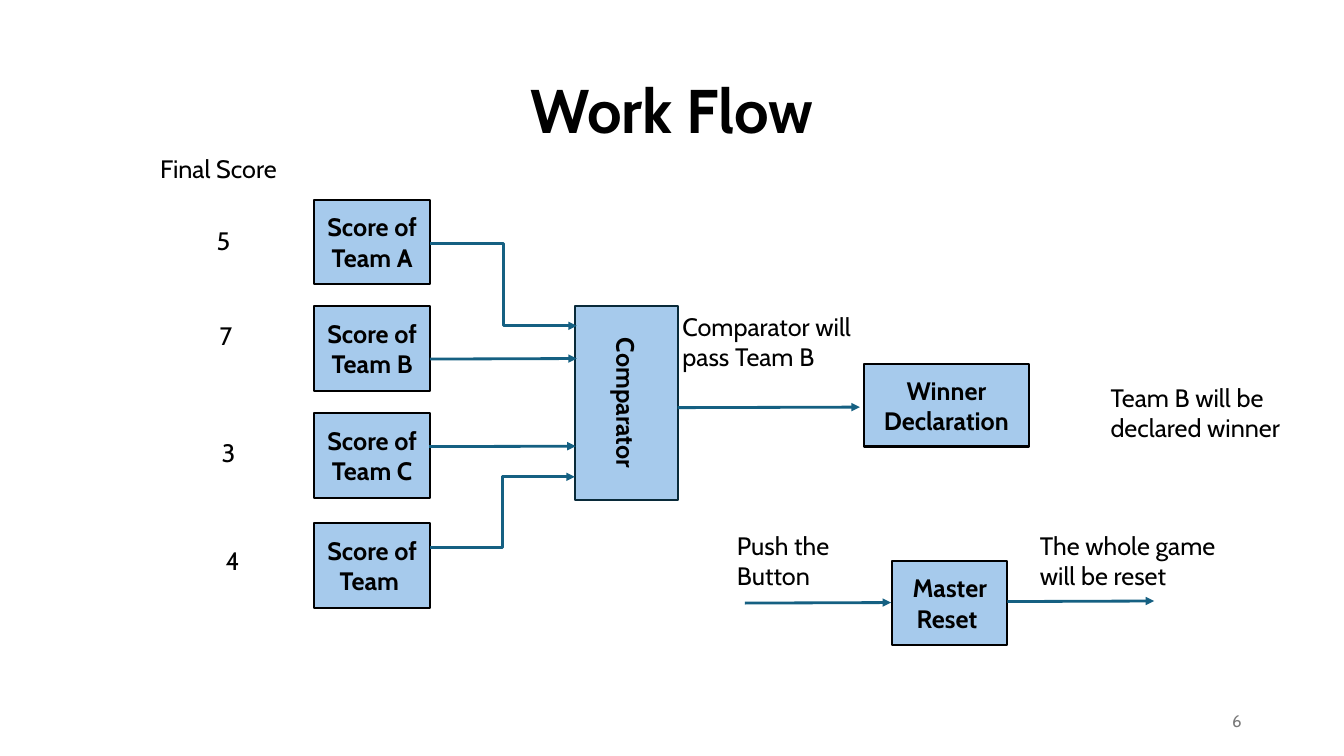
"""Builds the work flow slide of the team score comparator."""
from dataclasses import dataclass

from lxml import etree
from pptx import Presentation
from pptx.dml.color import RGBColor
from pptx.enum.shapes import MSO_CONNECTOR, MSO_SHAPE
from pptx.enum.text import MSO_ANCHOR, MSO_AUTO_SIZE, PP_ALIGN
from pptx.oxml.ns import qn
from pptx.util import Pt

RECTANGLE = MSO_SHAPE.RECTANGLE
STRAIGHT, ELBOW = MSO_CONNECTOR.STRAIGHT, MSO_CONNECTOR.ELBOW
LEFT, CENTER, RIGHT = PP_ALIGN.LEFT, PP_ALIGN.CENTER, PP_ALIGN.RIGHT
TOP, MIDDLE = MSO_ANCHOR.TOP, MSO_ANCHOR.MIDDLE
FIXED, GROW = MSO_AUTO_SIZE.NONE, MSO_AUTO_SIZE.SHAPE_TO_FIT_TEXT
TITLE_ONLY = 5


@dataclass(frozen=True)
class Theme:
    """Colours, type sizes and line widths of the slide."""
    font: str = "Cabin"
    ink: str = "000000"
    muted: str = "797979"
    block: str = "A6CAEC"
    edge: str = "092A39"
    arrow: str = "156082"
    title_size: float = 44
    body_size: float = 18
    number_size: float = 12
    outline_width: float = 1.5
    arrow_width: float = 2


class FlowPage:
    """Holds the theme and the current slide, and draws its elements."""

    def __init__(self, page, theme):
        """Keep the slide and its theme."""
        self.page = page
        self.theme = theme

    def set_text(self, box, text, size, color, bold=False, align=LEFT,
                 anchor=TOP, fit=FIXED, spacing=1.0):
        """Put one formatted paragraph in a box."""
        frame = box.text_frame
        para = frame.paragraphs[0]
        span = para.add_run()
        formats = (
            (frame, {"word_wrap": True, "auto_size": fit, "vertical_anchor": anchor}),
            (para, {"alignment": align, "line_spacing": spacing}),
            (span, {"text": text}),
            (span.font, {"name": self.theme.font, "size": Pt(size), "bold": bold}),
        )
        for target, values in formats:
            for name, value in values.items():
                setattr(target, name, value)
        span.font.color.rgb = RGBColor.from_string(color)

    def title(self, text, left, top, width, height):
        """Place and fill the title placeholder."""
        box = self.page.shapes.title
        places = {"left": left, "top": top, "width": width, "height": height}
        for name, value in places.items():
            setattr(box, name, Pt(value))
        self.set_text(box, text, self.theme.title_size, self.theme.ink, True,
                      CENTER, MIDDLE, spacing=0.9)

    def label(self, text, left, top, width, height):
        """Add a plain text label."""
        box = self.page.shapes.add_textbox(Pt(left), Pt(top), Pt(width), Pt(height))
        self.set_text(box, text, self.theme.body_size, self.theme.ink, fit=GROW)

    def number(self, text, left, top, width, height):
        """Add the page number."""
        box = self.page.shapes.add_textbox(Pt(left), Pt(top), Pt(width), Pt(height))
        self.set_text(box, text, self.theme.number_size, self.theme.muted,
                      align=RIGHT, anchor=MIDDLE)

    def block(self, text, left, top, width, height, edge=None, turn=0):
        """Add an outlined process block."""
        box = self.page.shapes.add_shape(
            RECTANGLE, Pt(left), Pt(top), Pt(width), Pt(height))
        box.shadow.inherit = False
        box.rotation = turn
        box.fill.solid()
        box.fill.fore_color.rgb = RGBColor.from_string(self.theme.block)
        box.line.color.rgb = RGBColor.from_string(edge or self.theme.ink)
        box.line.width = Pt(self.theme.outline_width)
        self.set_text(box, text, self.theme.body_size, self.theme.ink, True,
                      CENTER, MIDDLE)

    def arrow(self, start, end, kind=STRAIGHT):
        """Add a connector with an arrowhead at its end."""
        points = [Pt(value) for value in (*start, *end)]
        link = self.page.shapes.add_connector(kind, *points)
        link.line.color.rgb = RGBColor.from_string(self.theme.arrow)
        link.line.width = Pt(self.theme.arrow_width)
        properties = link.element.spPr
        etree.SubElement(properties.find(qn("a:ln")), qn("a:tailEnd"), type="triangle")
        etree.SubElement(properties, qn("a:effectLst"))


def main():
    """Build and save the deck."""
    deck = Presentation()
    deck.slide_width, deck.slide_height = Pt(960), Pt(540)
    theme = Theme()
    flow = FlowPage(deck.slides.add_slide(deck.slide_layouts[TITLE_ONLY]), theme)

    flow.title("Work Flow", 66, 28.75, 828, 104.4)
    flow.number("6", 678, 500.5, 216, 28.75)
    flow.label("Final Score", 107.3, 105.8, 103.7, 29)

    block_width, block_height = 82.4, 60.5
    teams = (
        ("Score of Team A", 142.6, "5", 147.6, 157.7, 31.7),
        ("Score of Team B", 218.9, "7", 149.8, 224.9, 33.1),
        ("Score of Team C", 295.2, "3", 151.2, 308.9, 36.7),
        ("Score of Team ", 373.7, "4", 154.1, 386.2, 25.2),
    )
    for name, top, score, score_left, score_top, score_width in teams:
        flow.block(name, 224.6, top, block_width, block_height)
        flow.label(score, score_left, score_top, score_width, 29)

    flow.block("Comparator", 378, 251.3, 139, 73.4, theme.edge, 90)
    flow.block("Winner Declaration", 617, 260, 118, 59)
    flow.block("Master Reset ", 637.2, 400.5, block_width, block_height)

    arrows = (
        ((307.2, 174), (412, 232.7), ELBOW),
        ((307, 256.5), (412, 256.1), STRAIGHT),
        ((306.5, 319), (411.2, 318.7), STRAIGHT),
        ((307.2, 391), (410.6, 340.6), ELBOW),
        ((484, 291.2), (614.2, 290.8), STRAIGHT),
        ((532, 430.8), (636.5, 430.4), STRAIGHT),
        ((719.5, 429.7), (824.4, 429.3), STRAIGHT),
    )
    for start, end, kind in arrows:
        flow.arrow(start, end, kind)

    labels = (
        ("Comparator will pass Team B", 480.4, 218.9, 141.8),
        ("Team B will be declared winner", 786.2, 269.3, 144),
        ("Push the Button", 519.3, 375.3, 102.2),
        ("The whole game will be reset", 735.8, 375.3, 152),
    )
    for text, left, top, width in labels:
        flow.label(text, left, top, width, 51)

    deck.save("out.pptx")


if __name__ == "__main__":
    main()
